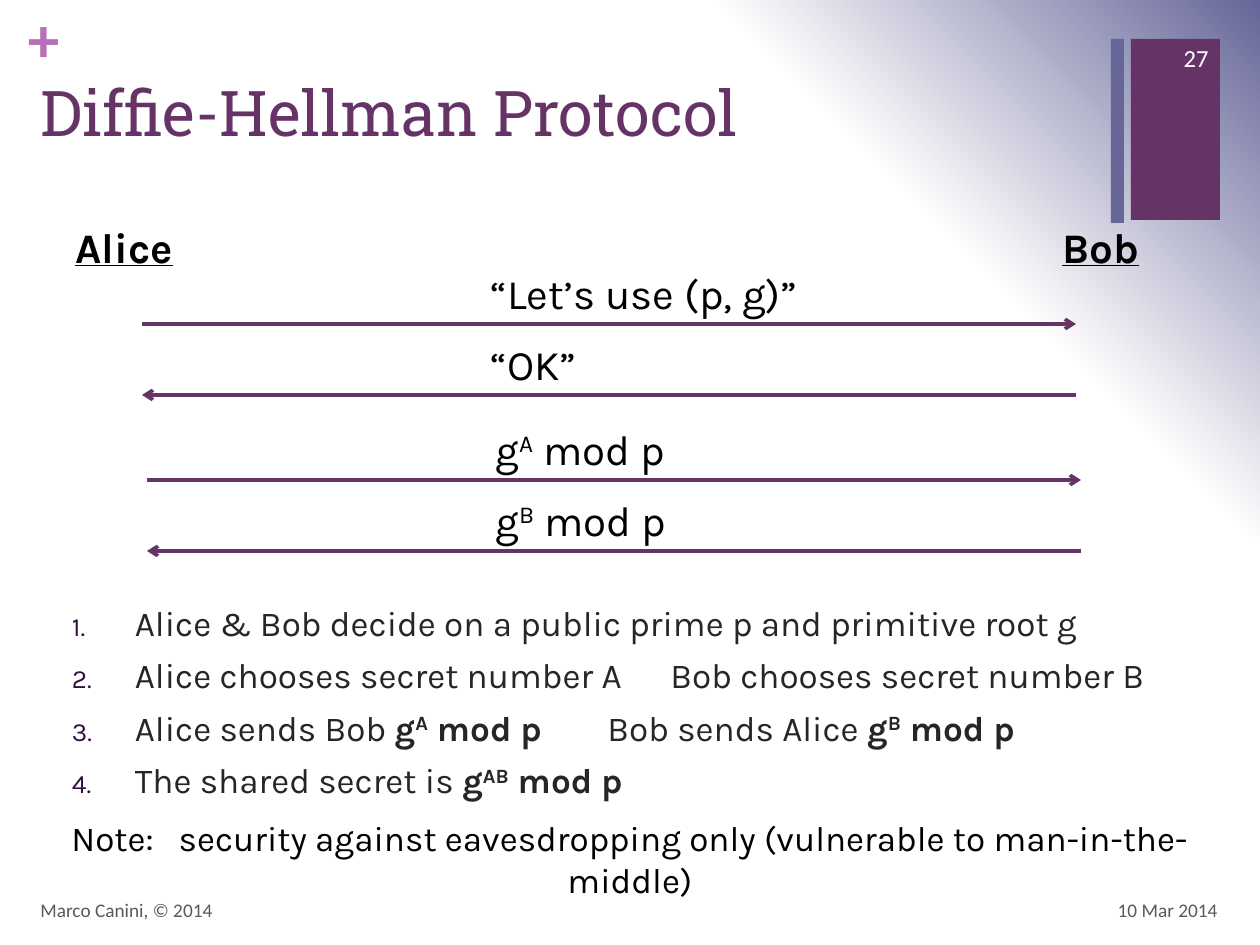
from lxml import etree
from pptx import Presentation
from pptx import util as u
from pptx.dml.color import RGBColor
from pptx.enum import shapes, text
from pptx.oxml import parse_xml
from pptx.oxml.ns import qn

HUE = dict(plum="663366", blue="666699", pink="B870B8", mark="330F42",
           body="262626", grey="595959", black="000000", white="FFFFFF")
NS = ('xmlns:a="http://schemas.openxmlformats.org/drawingml/2006/main" '
      'xmlns:p="http://schemas.openxmlformats.org/presentationml/2006/main"')
RIGHT, MID = text.PP_ALIGN.RIGHT, text.PP_ALIGN.CENTER


def px(*vals):
    return [u.Emu(round(v * 914400 / 126)) for v in vals]


def write(box, lines, size, font, hue, bold=False, line=False, align=None,
          wrap=True, mid=False, inset=None):
    """Add a text box; a line is a list of (words, style), with ^ for superscript and * for bold."""
    frame = page.shapes.add_textbox(*px(*box)).text_frame
    frame.word_wrap = wrap
    if mid:
        frame.vertical_anchor = text.MSO_ANCHOR.MIDDLE
    if inset is not None:
        for side in ("left", "top", "right", "bottom"):
            setattr(frame, "margin_" + side, inset)
    for i, parts in enumerate(lines):
        para = frame.add_paragraph() if i else frame.paragraphs[0]
        para.alignment = align
        for words, style in parts:
            run = para.add_run()
            run.text = words
            look = dict(size=u.Pt(size), name=font, bold=bold or "*" in style, underline=line)
            for key, val in look.items():
                setattr(run.font, key, val)
            run.font.color.rgb = RGBColor.from_string(HUE[hue])
            if "^" in style:
                run.font._element.set("baseline", "30000")
    return frame


deck = Presentation()
deck.slide_width, deck.slide_height = px(1260, 945)
page = deck.slides.add_slide(deck.slide_layouts[6])

# Background: white glow from the lower left, blue in the upper right
stops = "".join(f'<a:gs pos="{pos}000"><a:srgbClr val="{HUE[hue]}"/></a:gs>'
                for pos, hue in ((0, "white"), (75, "white"), (100, "blue")))
page._element.cSld.insert(0, parse_xml(
    f'<p:bg {NS}><p:bgPr><a:gradFill rotWithShape="1"><a:gsLst>{stops}</a:gsLst>'
    '<a:path path="circle"><a:fillToRect t="100000" r="100000"/></a:path>'
    '</a:gradFill><a:effectLst/></p:bgPr></p:bg>'))

# Corner bars, plus sign and title
for box, hue in (((1131, 39, 89, 181), "plum"), ((1111, 39, 13, 184), "blue")):
    bar = page.shapes.add_shape(shapes.MSO_SHAPE.RECTANGLE, *px(*box))
    bar.shadow.inherit = False
    bar.fill.solid()
    bar.fill.fore_color.rgb = RGBColor.from_string(HUE[hue])
    bar.line.fill.background()
write((28, 0, 37, 77), [[("+", "")]], 36, "Calibri", "pink", bold=True, inset=0)
write((28, 67, 1082, 154), [[("Diffie-Hellman Protocol", "")]], 36, "Roboto Slab", "plum")

# Numbered steps
steps = [
    [("Alice & Bob decide on a public prime p and primitive root g", "")],
    [("Alice chooses secret number A\tBob chooses secret number B", "")],
    [("Alice sends Bob ", ""), ("g", "*"), ("A", "*^"), (" mod p", "*"),
     ("\t\tBob sends Alice ", ""), ("g", "*"), ("B", "*^"), (" mod p", "*")],
    [("The shared secret is ", ""), ("g", "*"), ("AB", "*^"), (" mod p", "*")],
]
for para in write((28, 595, 1202, 226), steps, 20, "Karla", "body").paragraphs:
    para.level = 1
    para.space_before = u.Pt(6)
    prop = para._p.get_or_add_pPr()
    prop.set("marL", str(u.Inches(0.75)))
    prop.set("indent", str(u.Inches(-0.5)))
    tint = etree.SubElement(prop, qn("a:buClr"))
    etree.SubElement(tint, qn("a:srgbClr"), val=HUE["mark"])
    etree.SubElement(prop, qn("a:buSzPct"), val="75000")
    etree.SubElement(prop, qn("a:buFont"), typeface="Karla")
    etree.SubElement(prop, qn("a:buAutoNum"), type="arabicPeriod")

# Footer and page number
for box, words, size, hue, align in (
        ((936, 885, 294, 50), "10 Mar 2014", 11, "grey", RIGHT),
        ((28, 885, 844, 50), "Marco Canini, © 2014", 11, "grey", None),
        ((1144, 33, 77, 50), "27", 14, "white", RIGHT)):
    write(box, [[(words, "")]], size, "Calibri", hue, align=align, mid=True)

# The two parties and their messages
for left, wide, name in ((63, 127, "Alice"), (1050, 107, "Bob")):
    write((left, 215, wide, 63), [[(name, "")]], 24, "Karla", "black",
          bold=True, line=True, wrap=False)

sends = [
    (142, 324, 344, [("“Let’s use (p, g)”", "")]),
    (142, 395, 120, [("“OK”", "")]),
    (147, 480, 198, [("g", ""), ("A", "^"), (" mod p", "")]),
    (147, 551, 198, [("g", ""), ("B", "^"), (" mod p", "")]),
]
for i, (left, y, wide, parts) in enumerate(sends):
    ends = (left, left + 934)
    start, stop = ends[::-1] if i % 2 else ends
    arrow = page.shapes.add_connector(shapes.MSO_CONNECTOR.STRAIGHT, *px(start, y, stop, y))
    arrow.line.color.rgb = RGBColor.from_string(HUE["plum"])
    arrow.line.width = u.Pt(2)
    etree.SubElement(arrow.line._get_or_add_ln(), qn("a:tailEnd"), type="arrow")
    etree.SubElement(arrow._element.spPr, qn("a:effectLst"))
    write((left + 336, y - 63, wide, 63), [parts], 24, "Karla", "black", wrap=False)

# Note, with the gap after its label made by letter spacing
words = "security against eavesdropping only (vulnerable to man-in-the-middle)"
note = write((10, 810, 1240, 55), [[("Note:", ""), (" ", ""), (words, "")]],
             20, "Karla", "black", align=MID)
note.paragraphs[0].runs[1].font._element.set("spc", "950")

deck.save("out.pptx")
